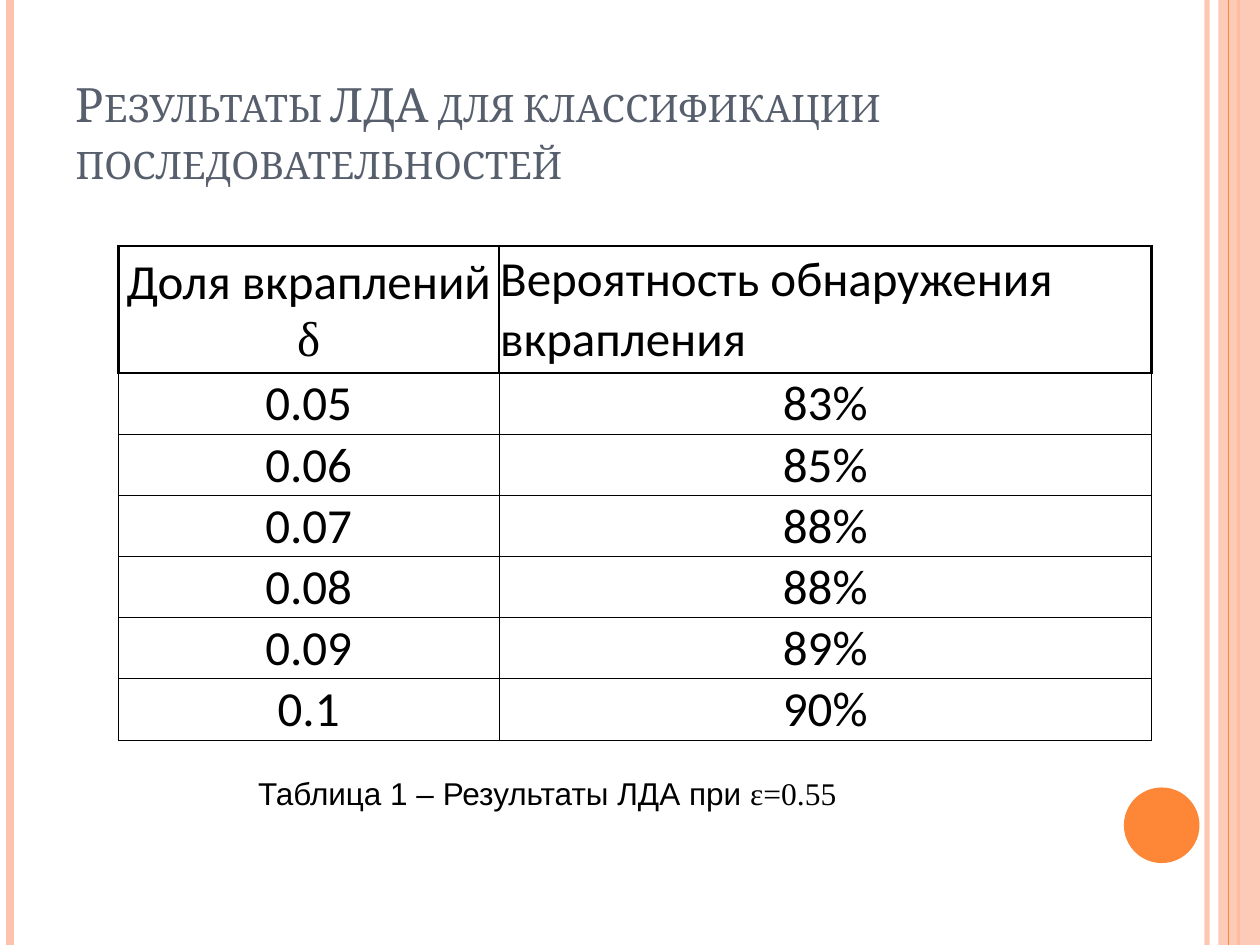
"""Build a slide with a table of LDA detection results."""
from lxml.etree import SubElement
from pptx import Presentation
from pptx.dml.color import RGBColor as RGB
from pptx.enum.shapes import MSO_CONNECTOR as Link, MSO_SHAPE as Kind
from pptx.enum.text import MSO_ANCHOR as Anchor, PP_ALIGN as Align
from pptx.oxml.ns import qn
from pptx.util import Inches, Pt

HUES = {"peach": "FEC3AE", "orange": "FE8637", "slate": "575F6D", "black": "000000"}


def style(run, font, size, hue="black"):
    run.font.name = font
    run.font.size = Pt(size)
    run.font.bold = False
    run.font.color.rgb = RGB.from_string(HUES[hue])


def alpha(fill, share):
    hue = fill._xPr.find(".//" + qn("a:srgbClr"))
    SubElement(hue, qn("a:alpha"), val=str(share * 1000))


deck = Presentation()
deck.slide_width, deck.slide_height = Inches(10), Inches(7.5)
slide = deck.slides.add_slide(deck.slide_layouts[5])
shapes = slide.shapes
title = shapes.title

bars = [(9.58, "peach", 3, 93), (0.08, "peach", 4.5, 100),
        (9.83, "orange", 1.5, 100), (9.75, "orange", 0.75, 100)]
for left, hue, width, share in bars:
    bar = shapes.add_connector(Link.STRAIGHT, Inches(left), 0, Inches(left), Inches(7.5))
    bar.line.color.rgb = RGB.from_string(HUES[hue])
    bar.line.width = Pt(width)
    if share < 100:
        alpha(bar.line.fill, share)
    SubElement(bar._element.spPr, qn("a:effectLst"))
    if left == 9.83:
        band = shapes.add_shape(Kind.RECTANGLE, Inches(9.67), 0, Inches(0.33), Inches(7.5))

dot = shapes.add_shape(Kind.OVAL, Inches(8.92), Inches(6.25), Inches(0.6), Inches(0.6))
for shape, hue in [(band, "peach"), (dot, "orange")]:
    shape.shadow.inherit = False
    shape.fill.solid()
    shape.fill.fore_color.rgb = RGB.from_string(HUES[hue])
    shape.line.fill.background()
alpha(band.fill, 87)

title.left, title.top = Inches(0.5), Inches(0.3)
title.width, title.height = Inches(8.17), Inches(1.25)
frame = title.text_frame
frame.text = "Результаты ЛДА для классификации последовательностей"
frame.vertical_anchor = Anchor.BOTTOM
frame.paragraphs[0].alignment = Align.LEFT
run = frame.paragraphs[0].runs[0]
style(run, "Cambria", 27, "slate")
run.font._element.set("cap", "small")

rows = [("Доля вкраплений ", "Вероятность обнаружения вкрапления"),
        ("0.05", "83%"), ("0.06", "85%"), ("0.07", "88%"),
        ("0.08", "88%"), ("0.09", "89%"), ("0.1", "90%")]
table = shapes.add_table(len(rows), 2, Inches(0.94), Inches(1.95),
                         Inches(8.2), Inches(3.35)).table
table.horz_banding = False
table.columns[0].width, table.columns[1].width = Inches(3.02), Inches(5.18)
for r, row in enumerate(rows):
    table.rows[r].height = Inches(0.39 if r else 1.01)
    for c, text in enumerate(row):
        cell = table.cell(r, c)
        cell.margin_left = cell.margin_right = cell.margin_top = Inches(0.01)
        cell.margin_bottom = 0
        cell.vertical_anchor = Anchor.MIDDLE
        cell.text = text
        para = cell.text_frame.paragraphs[0]
        para.alignment = Align.LEFT if (r, c) == (0, 1) else Align.CENTER
        style(para.runs[0], "Calibri", 28)
        if r == c == 0:
            delta = para.add_run()
            delta.text = "δ"
            style(delta, "Times New Roman", 28)
        props = cell._tc.get_or_add_tcPr()
        for side in "LRTB":
            thick = r == 0 or (r == 1 and side == "T")
            edge = SubElement(props, qn("a:ln" + side), w=str(Pt(1.5 if thick else 0.5)))
            ink = SubElement(edge, qn("a:solidFill"))
            SubElement(ink, qn("a:srgbClr"), val=HUES["black"])
        cell.fill.background()

note = shapes.add_textbox(Inches(1.95), Inches(6.09), Inches(6.48), Inches(0.4))
note.text_frame.word_wrap = True
para = note.text_frame.paragraphs[0]
for text, font in [("Таблица 1 – Результаты ЛДА при ", "Arial"), ("ε=0.55", "Times New Roman")]:
    run = para.add_run()
    run.text = text
    style(run, font, 18)

deck.save("out.pptx")
